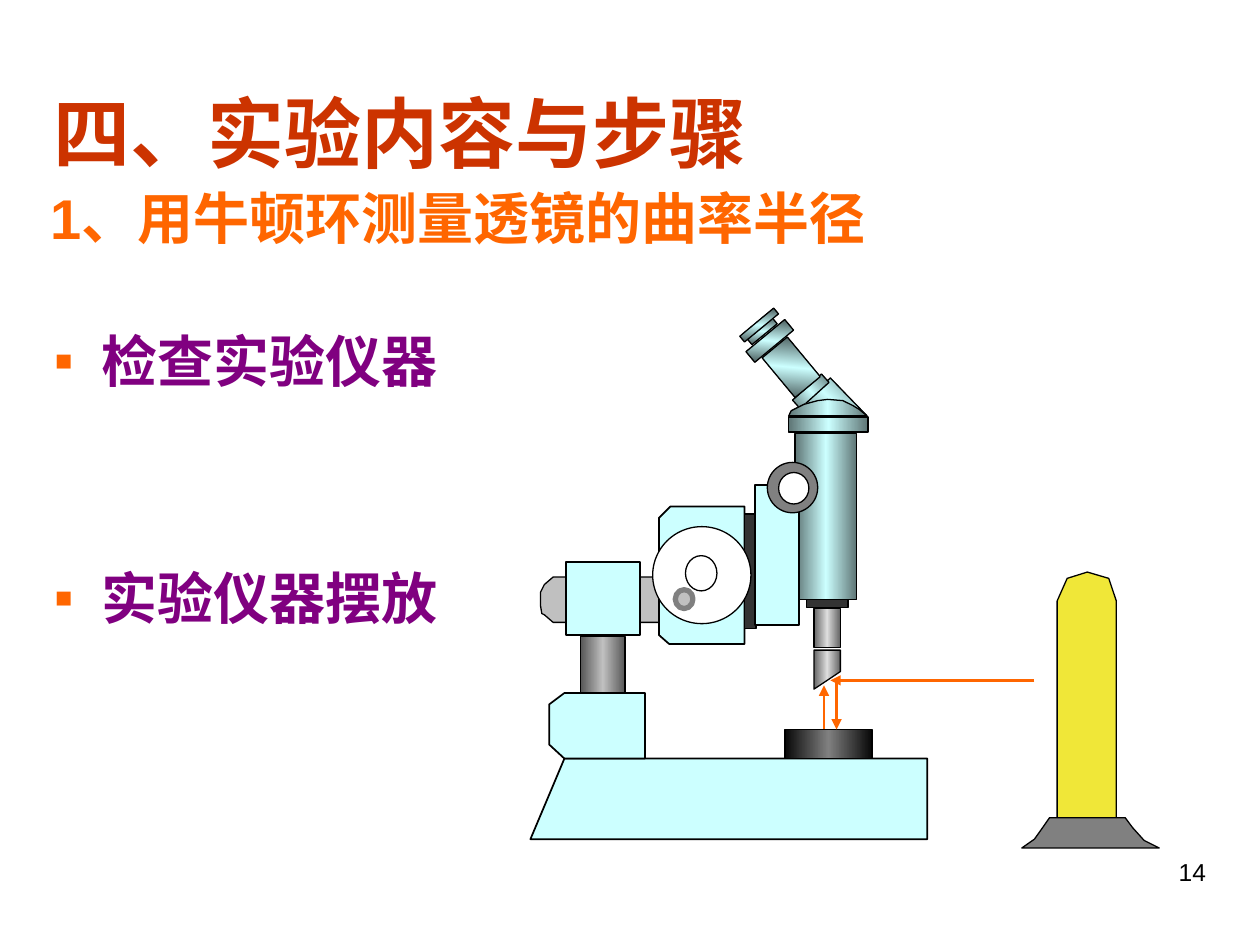
from copy import deepcopy

from lxml import etree
from pptx import Presentation
from pptx import util as u
from pptx.dml.color import RGBColor
from pptx.enum import shapes, text
from pptx.oxml.ns import qn

RECT = shapes.MSO_SHAPE.RECTANGLE
OVAL = shapes.MSO_SHAPE.OVAL
ORANGE, PURPLE, RED, BLACK = "FF6600", "800080", "CC3300", "000000"
PALE, WHITE, SILVER, GRAY, DARK = "CCFFFF", "FFFFFF", "C0C0C0", "808080", "333333"
STEEL = ("585858", SILVER, 180)
TUBE = ("5E7575", PALE, 180)
ROOF = ("5E7575", PALE, 135)
EYEPIECE = ("465858", PALE, 135)
LENS = ("656565", "DDDDDD", 180)
STAGE = ("080808", GRAY, 180)


def color(value):
    """Turn a hex string into a colour."""
    return RGBColor.from_string(value)


def add_text(page, at, lines, size, ink, bold=True, align=text.PP_ALIGN.LEFT,
             anchor=text.MSO_ANCHOR.TOP, wrap=True, bullet=None, gap=0):
    """Add a text box with one paragraph per line."""
    frame = page.shapes.add_textbox(*map(u.Inches, at)).text_frame
    frame.word_wrap = wrap
    frame.vertical_anchor = anchor
    for index, line in enumerate(lines):
        para = frame.paragraphs[0] if index == 0 else frame.add_paragraph()
        if bullet:
            add_bullet(para, bullet)
        para.alignment = align
        if index:
            para.space_before = u.Pt(gap)
        span = para.add_run()
        span.text = line
        span.font.name = "Arial"
        span.font.size = u.Pt(size)
        span.font.bold = bold
        span.font.color.rgb = color(ink)


def add_bullet(para, mark):
    """Give a paragraph a coloured bullet and a hanging indent."""
    props = para._p.get_or_add_pPr()
    props.set("marL", str(u.Inches(0.38)))
    props.set("indent", str(-u.Inches(0.38)))
    tint = etree.SubElement(props, qn("a:buClr"))
    etree.SubElement(tint, qn("a:srgbClr")).set("val", ORANGE)
    etree.SubElement(props, qn("a:buFont")).set("typeface", "Arial")
    etree.SubElement(props, qn("a:buChar")).set("char", mark)


def paint(shape, fill, line=BLACK, width=0.75):
    """Fill a shape plainly or with a mirrored gradient, and outline it."""
    shape.shadow.inherit = False
    shape.line.color.rgb = color(line)
    shape.line.width = u.Pt(width)
    if isinstance(fill, str):
        shape.fill.solid()
        shape.fill.fore_color.rgb = color(fill)
        return
    edge, middle, angle = fill
    shape.fill.gradient()
    shape.fill.gradient_angle = 360 - angle
    stops = shape._element.spPr.find(qn("a:gradFill")).find(qn("a:gsLst"))
    stops.append(deepcopy(stops[0]))
    for stop, place, tone in zip(shape.fill.gradient_stops, (0, 0.5, 1), (edge, middle, edge)):
        stop.position = place
        stop.color.rgb = color(tone)


def add_part(group, kind, at, fill, line=BLACK, width=0.75, turn=0):
    """Add a preset shape to the apparatus."""
    shape = group.shapes.add_shape(kind, *map(u.Inches, at))
    shape.rotation = turn
    paint(shape, fill, line, width)


def add_outline(group, points, fill, width=0.75):
    """Add a closed polygon to the apparatus."""
    start, *rest = [(u.Inches(x), u.Inches(y)) for x, y in points]
    builder = group.shapes.build_freeform(*start)
    builder.add_line_segments(rest, close=True)
    paint(builder.convert_to_shape(), fill, width=width)


def add_ray(group, start, end):
    """Add a light ray with an arrowhead at its end."""
    ray = group.shapes.add_connector(shapes.MSO_CONNECTOR.STRAIGHT,
                                     *map(u.Inches, start + end))
    ray.line.color.rgb = color(ORANGE)
    ray.line.width = u.Pt(1.5)
    etree.SubElement(ray.line._get_or_add_ln(), qn("a:tailEnd")).set("type", "triangle")
    etree.SubElement(ray._element.spPr, qn("a:effectLst"))


def draw_stand(group):
    """Draw the base, the column and the clamp."""
    add_outline(group, [(5.24, 4.58), (4.39, 4.58), (4.32, 4.64), (4.29, 4.7), (4.29, 4.81),
                        (4.3, 4.87), (4.32, 4.88), (4.39, 4.94), (5.23, 4.94)], SILVER)
    add_outline(group, [(4.48, 6.02), (7.36, 6.02), (7.36, 6.66), (4.21, 6.66)], PALE, 1)
    add_outline(group, [(4.48, 6.02), (4.36, 5.91), (4.36, 5.59), (4.48, 5.5),
                        (5.12, 5.5), (5.12, 6.02)], PALE, 1)
    add_part(group, RECT, (4.61, 5.05, 0.35, 0.45), STEEL)
    add_part(group, RECT, (4.49, 4.46, 0.59, 0.58), PALE, width=1)


def draw_drum(group):
    """Draw the measuring drum and its crank."""
    add_outline(group, [(5.23, 5.04), (5.23, 4.11), (5.32, 4.02), (5.91, 4.02),
                        (5.91, 5.11), (5.31, 5.11)], PALE, 1)
    add_part(group, RECT, (5.91, 4.08, 0.09, 0.91), DARK)
    add_part(group, OVAL, (5.18, 4.18, 0.78, 0.77), WHITE)
    add_part(group, OVAL, (5.44, 4.41, 0.25, 0.28), WHITE)
    add_part(group, OVAL, (5.36, 4.68, 0.14, 0.15), SILVER, GRAY, 3)


def draw_microscope(group):
    """Draw the tube, the objective, the eyepiece and the focus knob."""
    add_part(group, RECT, (6.31, 3.44, 0.49, 1.32), TUBE)
    add_part(group, RECT, (5.99, 3.85, 0.35, 1.11), PALE, width=1)
    add_part(group, RECT, (6.4, 4.76, 0.33, 0.06), DARK)
    add_outline(group, [(6.27, 3.3), (6.59, 3), (6.88, 3.3)], ROOF)
    add_part(group, RECT, (6.46, 4.83, 0.21, 0.31), LENS)
    add_outline(group, [(6.46, 5.16), (6.67, 5.16), (6.67, 5.33), (6.46, 5.47)], LENS)
    add_part(group, RECT, (6.26, 3.31, 0.63, 0.12), TUBE)
    add_part(group, RECT, (6.28, 3.06, 0.31, 0.09), TUBE, turn=317.9)
    add_outline(group, [(6.26, 3.3), (6.28, 3.26), (6.38, 3.21), (6.49, 3.18), (6.57, 3.17),
                        (6.69, 3.18), (6.77, 3.22), (6.82, 3.25), (6.88, 3.3)], TUBE)
    for at in ((6.15, 2.71, 0.26, 0.41), (5.91, 2.65, 0.4, 0.11),
               (5.92, 2.6, 0.26, 0.06), (5.85, 2.55, 0.35, 0.06)):
        add_part(group, RECT, at, EYEPIECE, turn=320.3)
    add_part(group, OVAL, (6.09, 3.67, 0.4, 0.4), GRAY)
    add_part(group, OVAL, (6.18, 3.75, 0.24, 0.25), WHITE)
    add_part(group, RECT, (6.23, 5.79, 0.69, 0.23), STAGE)


def draw_lamp(group):
    """Draw the sodium lamp on its foot."""
    add_outline(group, [(8.39, 6.49), (8.39, 4.77), (8.47, 4.59), (8.63, 4.54),
                        (8.8, 4.59), (8.86, 4.77), (8.86, 6.49)], "F0E738")
    add_outline(group, [(8.33, 6.49), (8.93, 6.49), (8.99, 6.57), (9.08, 6.67), (9.2, 6.73),
                        (8.11, 6.73), (8.21, 6.66), (8.26, 6.59)], GRAY)


def main():
    """Build the slide and save it."""
    deck = Presentation()
    deck.slide_width, deck.slide_height = u.Inches(10), u.Inches(7.5)
    page = deck.slides.add_slide(deck.slide_layouts[6])
    add_text(page, (0.33, 0.42, 9.34, 1.25), ["四、实验内容与步骤"], 44, RED,
             anchor=text.MSO_ANCHOR.MIDDLE)
    add_text(page, (0.33, 2.54, 9.34, 4.05), ["检查实验仪器", "实验仪器摆放"], 32, PURPLE,
             bullet="▪", gap=97)
    group = page.shapes.add_group_shape()
    add_ray(group, (6.54, 5.8), (6.54, 5.44))
    draw_stand(group)
    draw_drum(group)
    draw_microscope(group)
    draw_lamp(group)
    add_ray(group, (8.21, 5.4), (6.59, 5.4))
    add_ray(group, (6.64, 5.42), (6.64, 5.79))
    add_text(page, (0.3, 1.41, 6.78, 0.64), ["1、用牛顿环测量透镜的曲率半径"], 32, ORANGE,
             wrap=False)
    add_text(page, (7.17, 6.75, 2.5, 0.52), ["14"], 14, BLACK, bold=False,
             align=text.PP_ALIGN.RIGHT)
    deck.save("out.pptx")


if __name__ == "__main__":
    main()
